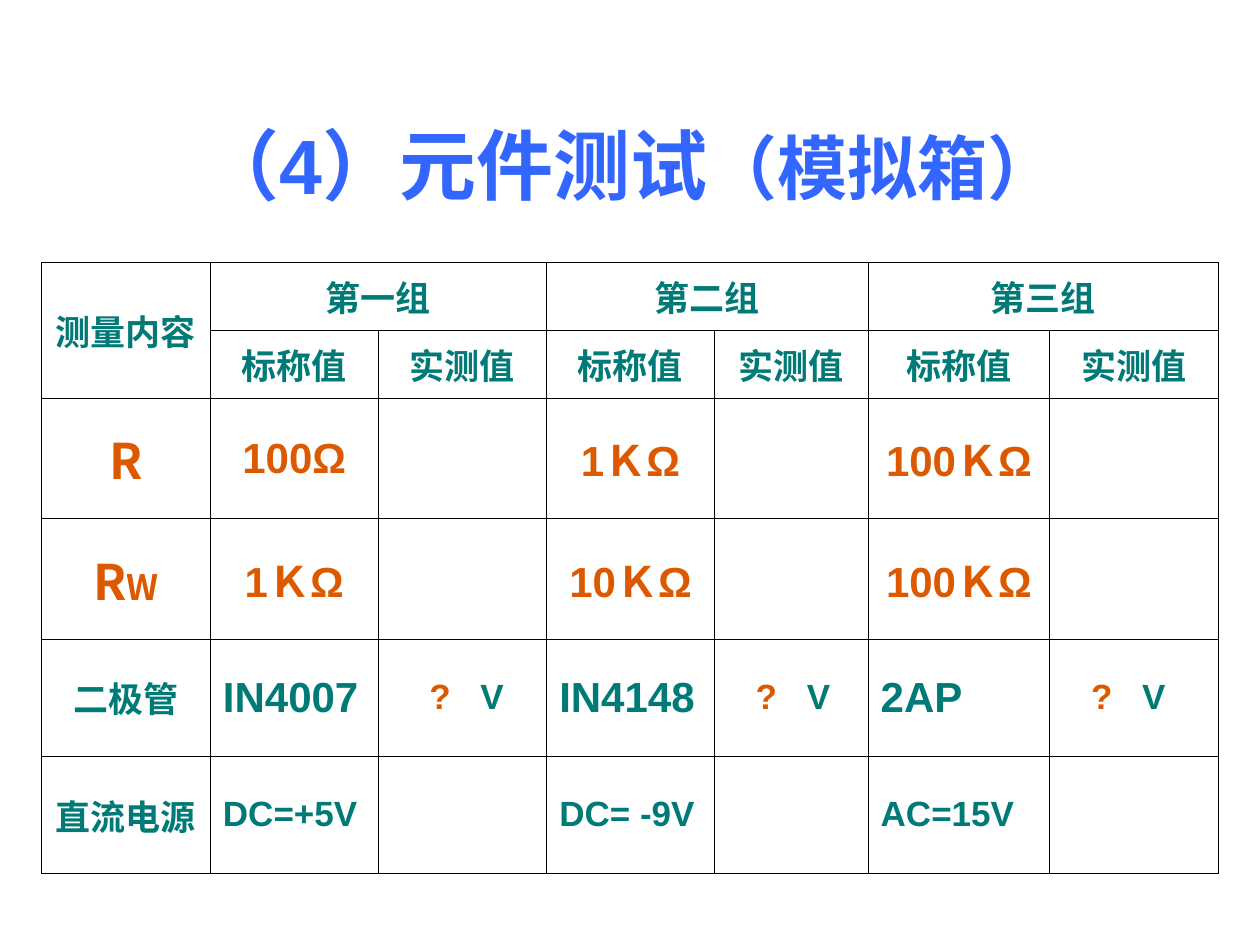
import pptx
import pptx.dml.color
import pptx.enum.text
import pptx.oxml
import pptx.oxml.ns
import pptx.util
import lxml.etree

Cm = pptx.util.Cm
Pt = pptx.util.Pt
ALIGN = pptx.enum.text.PP_ALIGN
MIDDLE = pptx.enum.text.MSO_ANCHOR.MIDDLE

BLUE = pptx.dml.color.RGBColor(0x33, 0x66, 0xFF)
TEAL = pptx.dml.color.RGBColor(0x00, 0x7A, 0x77)
ORANGE = pptx.dml.color.RGBColor(0xDC, 0x59, 0x00)
BLACK = pptx.dml.color.RGBColor(0x00, 0x00, 0x00)
LATIN = "Arial"
HAN = "Noto Sans CJK SC"

COLUMN_WIDTHS = [3.4, 3.38, 3.4, 3.38, 3.1, 3.66, 3.4]
ROW_HEIGHTS = [1.37, 1.37, 2.29, 2.29, 2.36, 2.36]
GROUPS = ["第一组", "第二组", "第三组"]
RESISTORS = ["100Ω", "1ＫΩ", "100ＫΩ"]
POTENTIOMETERS = ["1ＫΩ", "10ＫΩ", "100ＫΩ"]
DIODES = ["IN4007", "IN4148", "2AP"]
SUPPLIES = ["DC=+5V", "DC= -9V", "AC=15V"]
READING_STOPS = [(0.78, 1.81), (0.58, 1.61), (0.58, 1.61)]


def child(parent, tag, **attributes):
    return lxml.etree.SubElement(parent, pptx.oxml.ns.qn(tag), **attributes)


def write(paragraph, text, size=20, font=HAN, color=TEAL, align=ALIGN.CENTER):
    paragraph.alignment = align
    run = paragraph.add_run()
    run.text = text
    run.font.size = Pt(size)
    run.font.bold = True
    run.font.color.rgb = color
    run.font.name = font
    latin = run.font._element.find(pptx.oxml.ns.qn("a:latin"))
    east_asian = pptx.oxml.parse_xml(
        f'<a:ea {pptx.oxml.ns.nsdecls("a")} typeface="{HAN}"/>')
    latin.addnext(east_asian)


def set_tabs(paragraph, stops):
    tab_list = child(paragraph._p.get_or_add_pPr(), "a:tabLst")
    for stop in stops:
        child(tab_list, "a:tab", pos=str(int(Cm(stop))), algn="l")


def style_cell(cell):
    cell.vertical_anchor = MIDDLE
    properties = cell._tc.get_or_add_tcPr()
    for side in ("a:lnL", "a:lnR", "a:lnT", "a:lnB"):
        border = child(properties, side, w=str(int(Pt(0.45))))
        child(child(border, "a:solidFill"), "a:srgbClr", val=str(BLACK))
    cell.fill.background()


def build_title(slide, left, top, width, height):
    title = slide.shapes.title
    title.left, title.top, title.width, title.height = left, top, width, height
    title.text_frame.vertical_anchor = MIDDLE
    title.text_frame.auto_size = pptx.enum.text.MSO_AUTO_SIZE.NONE
    heading = title.text_frame.paragraphs[0]
    write(heading, "（4）元件测试", size=44, font=LATIN, color=BLUE)
    write(heading, "（模拟箱）", size=40, font=LATIN, color=BLUE)


def build_measurements(slide, left, top, width, height):
    table = slide.shapes.add_table(
        len(ROW_HEIGHTS), len(COLUMN_WIDTHS), left, top, width, height).table
    table.first_row = False
    table.horz_banding = False
    for column, column_width in zip(table.columns, COLUMN_WIDTHS):
        column.width = Cm(column_width)
    for row, row_height in zip(table.rows, ROW_HEIGHTS):
        row.height = Cm(row_height)
    for cell in table.iter_cells():
        style_cell(cell)

    def entry(row, column):
        return table.cell(row, column).text_frame.paragraphs[0]

    table.cell(0, 0).merge(table.cell(1, 0))
    for row, label in [(0, "测量内容"), (4, "二极管"), (5, "直流电源")]:
        write(entry(row, 0), label)
    for row in (2, 3):
        write(entry(row, 0), "R", size=28, color=ORANGE)
    write(entry(3, 0), "W", color=ORANGE)

    for index, group in enumerate(GROUPS):
        nominal = 1 + 2 * index
        measured = nominal + 1
        table.cell(0, nominal).merge(table.cell(0, measured))
        write(entry(0, nominal), group)
        write(entry(1, nominal), "标称值")
        write(entry(1, measured), "实测值")
        for row, values in [(2, RESISTORS), (3, POTENTIOMETERS)]:
            write(entry(row, nominal), values[index],
                  size=24, font=LATIN, color=ORANGE)
        for row, values, size in [(4, DIODES, 24), (5, SUPPLIES, 20)]:
            write(entry(row, nominal), values[index],
                  size=size, font=LATIN, align=ALIGN.LEFT)
        reading = entry(4, measured)
        set_tabs(reading, READING_STOPS[index])
        write(reading, "\t?", font=LATIN, color=ORANGE, align=ALIGN.LEFT)
        write(reading, "\tV", font=LATIN, align=ALIGN.LEFT)


def main():
    presentation = pptx.Presentation()
    presentation.slide_width = Cm(25.4)
    presentation.slide_height = Cm(19.05)
    slide = presentation.slides.add_slide(presentation.slide_layouts[5])
    build_title(slide, Cm(0.84), Cm(1.7), Cm(23.72), Cm(3.18))
    build_measurements(slide, Cm(0.84), Cm(5.29), Cm(23.72), Cm(12.04))
    presentation.save("out.pptx")


if __name__ == "__main__":
    main()
